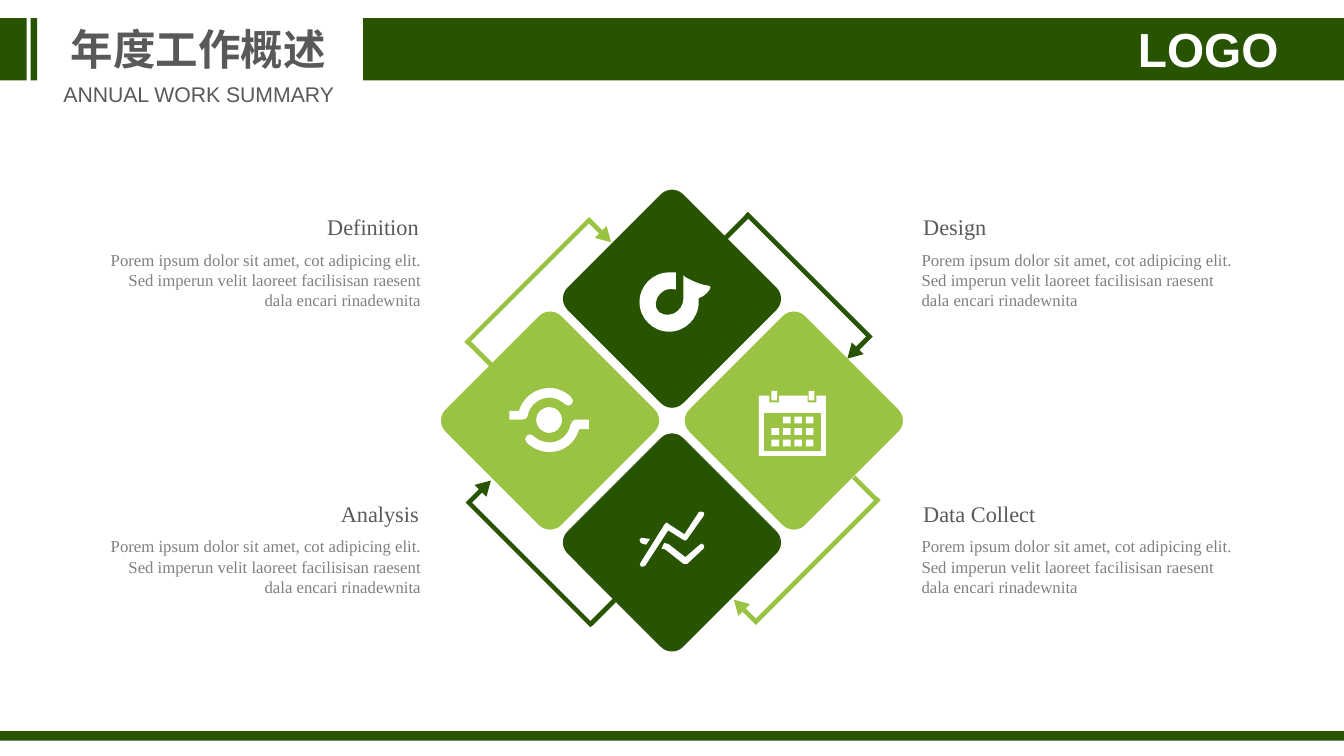
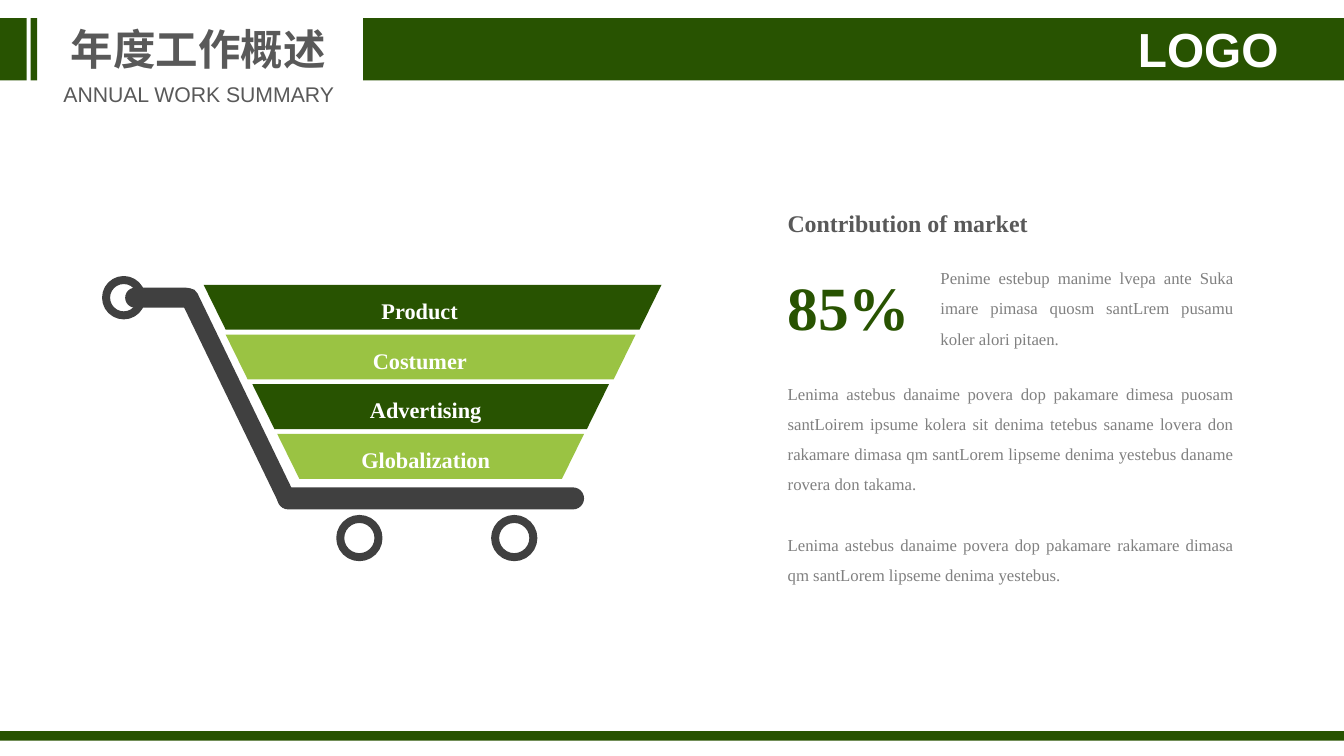
from dataclasses import dataclass
from itertools import chain
from typing import NamedTuple, Optional

from lxml.etree import SubElement
from pptx import Presentation
from pptx.dml.color import RGBColor
from pptx.enum.lang import MSO_LANGUAGE_ID
from pptx.enum.shapes import MSO_SHAPE
from pptx.enum.text import MSO_ANCHOR, MSO_AUTO_SIZE, PP_ALIGN
from pptx.oxml.ns import qn
from pptx.util import Inches, Pt

SLIDE_W, SLIDE_H = 14.06, 7.91
CENTRE_X, CENTRE_Y = SLIDE_W / 2, 4.4
DIAMOND_PITCH, DIAMOND_SIDE = 2.55 / 2, 1.71


@dataclass(frozen=True)
class Theme:
    dark: str = "285301"
    light: str = "9AC343"
    white: str = "FFFFFF"
    heading: str = "595959"
    body: str = "808080"
    cart: str = "404040"
    sans: str = "Arial"
    serif: str = "Times New Roman"
    logo_size: float = 36
    title_size: float = 32
    subtitle_size: float = 16
    heading_size: float = 16.8
    section_size: float = 18
    body_size: float = 12.6
    figure_size: float = 46.3


THEME = Theme()


class Box(NamedTuple):
    left: float
    top: float
    width: float
    height: float


@dataclass(frozen=True)
class Style:
    size: float
    colour: str
    font: str = THEME.serif
    bold: bool = False
    align: PP_ALIGN = PP_ALIGN.LEFT
    anchor: MSO_ANCHOR = MSO_ANCHOR.TOP
    insets: tuple = (0.1, 0.05)
    wrap: bool = True
    line_spacing: float = 1.0
    gap: float = 0
    language: Optional[MSO_LANGUAGE_ID] = None


class Note(NamedTuple):
    heading: str
    column: int
    row: int


class Diamond(NamedTuple):
    dx: int
    dy: int
    colour: str


class Turn(NamedTuple):
    arrow: tuple
    stub: tuple
    angle: int
    colour: str


class Layer(NamedTuple):
    label: str
    left: float
    width: float
    label_left: float
    label_width: float
    colour: str


NOTE_TEXT = ("Porem ipsum dolor sit amet, cot adipicing elit. Sed imperun velit "
             "laoreet facilisisan raesent dala encari rinadewnita")
NOTES = [Note("Definition", 0, 0), Note("Design", 1, 0),
         Note("Analysis", 0, 1), Note("Data Collect", 1, 1)]
NOTE_LEFTS = [(2.16, 1.08), (9.56, 9.64)]
NOTE_ALIGNS = [PP_ALIGN.RIGHT, PP_ALIGN.LEFT]

DIAMONDS = [Diamond(0, -1, THEME.dark), Diamond(1, 0, THEME.light),
            Diamond(0, 1, THEME.dark), Diamond(-1, 0, THEME.light)]
TURNS = [Turn((5.48, 2.07), (4.84, 3.67), 45, THEME.light),
         Turn((5.45, 4.81), (6.13, 6.38), 315, THEME.dark),
         Turn((8.2, 2.06), (7.53, 2.35), 135, THEME.dark),
         Turn((8.24, 4.83), (8.88, 5.09), 225, THEME.light)]

LAYERS = [Layer("Product", 2.13, 4.79, 3.99, 0.81, THEME.dark),
          Layer("Costumer", 2.36, 4.29, 3.9, 1.0, THEME.light),
          Layer("Advertising", 2.64, 3.73, 3.87, 1.18, THEME.dark),
          Layer("Globalization", 2.9, 3.21, 3.78, 1.36, THEME.light)]
RINGS = [Box(3.56, 5.43, 0.4, 0.4), Box(5.18, 5.43, 0.4, 0.4),
         Box(1.11, 2.93, 0.37, 0.37)]
BARS = [(Box(2.9, 5.1, 3.21, 0.23), 0), (Box(1.23, 4.06, 2.51, 0.19), 64.2),
        (Box(1.31, 3.01, 0.74, 0.21), 0)]

MARKET_INTRO = ("Penime estebup manime lvepa ante Suka imare pimasa quosm "
                "santLrem pusamu koler alori pitaen.")
MARKET_TEXT = [
    "Lenima astebus danaime povera dop pakamare dimesa puosam santLoirem ipsume "
    "kolera sit denima tetebus saname lovera don rakamare dimasa qm santLorem "
    "lipseme denima yestebus daname rovera don takama.",
    "Lenima astebus danaime povera dop pakamare rakamare dimasa qm santLorem "
    "lipseme denima yestebus."]

NOTE_ICON = [[
    (7.31, 3.12), (7.4, 3.09, 7.46, 2.99, 7.42, 2.99),
    (7.32, 2.98, 7.23, 2.93, 7.17, 2.9), (7.17, 2.89, 7.16, 2.89, 7.15, 2.88),
    (7.15, 3.12),
    (7.15, 3.19, 7.11, 3.25, 7.05, 3.28), (6.98, 3.31, 6.89, 3.29, 6.87, 3.23),
    (6.84, 3.16, 6.88, 3.08, 6.95, 3.04), (6.99, 3.02, 7.04, 3.02, 7.07, 3.03),
    (7.07, 2.85), (7.05, 2.85, 7.03, 2.85, 7, 2.85),
    (6.83, 2.85, 6.69, 2.99, 6.69, 3.16), (6.69, 3.33, 6.83, 3.47, 7, 3.47),
    (7.17, 3.47, 7.31, 3.33, 7.31, 3.16), (7.31, 3.15, 7.31, 3.13, 7.31, 3.12)]]
ORBIT_ICON = [
    [(6.03, 4.39), (5.99, 4.39, 5.98, 4.43, 5.97, 4.44),
     (5.95, 4.55, 5.86, 4.63, 5.75, 4.63), (5.68, 4.63, 5.62, 4.6, 5.58, 4.56),
     (5.56, 4.54, 5.53, 4.54, 5.51, 4.56), (5.49, 4.58, 5.49, 4.61, 5.51, 4.63),
     (5.57, 4.69, 5.66, 4.73, 5.75, 4.73), (5.9, 4.73, 6.02, 4.63, 6.06, 4.49),
     (6.16, 4.49), (6.16, 4.39)],
    [(5.52, 4.35), (5.54, 4.24, 5.64, 4.16, 5.75, 4.16),
     (5.81, 4.16, 5.87, 4.19, 5.91, 4.23), (5.93, 4.25, 5.96, 4.25, 5.98, 4.23),
     (6, 4.21, 6, 4.18, 5.98, 4.16), (5.92, 4.1, 5.84, 4.06, 5.75, 4.06),
     (5.6, 4.06, 5.47, 4.16, 5.43, 4.3), (5.33, 4.3), (5.33, 4.39), (5.46, 4.39),
     (5.51, 4.39, 5.52, 4.36, 5.52, 4.35)],
    [(5.61, 4.39), (5.61, 4.47, 5.67, 4.53, 5.75, 4.53),
     (5.82, 4.53, 5.88, 4.47, 5.88, 4.39), (5.88, 4.32, 5.82, 4.26, 5.75, 4.26),
     (5.67, 4.26, 5.61, 4.32, 5.61, 4.39)]]
TREND_ICON = [
    [(6.99, 5.55), (7.15, 5.65), (7.17, 5.66, 7.18, 5.66, 7.19, 5.64), (7.36, 5.4),
     (7.37, 5.39, 7.37, 5.37, 7.36, 5.36), (7.34, 5.35, 7.32, 5.35, 7.31, 5.36),
     (7.16, 5.59), (6.99, 5.48), (6.99, 5.47, 6.98, 5.47, 6.97, 5.47),
     (6.96, 5.48, 6.95, 5.48, 6.95, 5.49), (6.7, 5.89),
     (6.69, 5.9, 6.69, 5.92, 6.71, 5.93), (6.71, 5.93, 6.72, 5.93, 6.72, 5.93),
     (6.73, 5.93, 6.74, 5.93, 6.75, 5.92)],
    [(7.32, 5.7), (7.17, 5.83), (6.99, 5.69), (6.99, 5.69, 6.98, 5.69, 6.98, 5.69),
     (6.95, 5.68), (6.92, 5.74), (6.96, 5.75), (7.15, 5.9),
     (7.15, 5.9, 7.16, 5.9, 7.17, 5.9), (7.18, 5.9, 7.18, 5.9, 7.19, 5.9),
     (7.36, 5.74), (7.37, 5.73, 7.37, 5.71, 7.36, 5.7),
     (7.35, 5.69, 7.33, 5.68, 7.32, 5.7)],
    [(6.72, 5.69), (6.76, 5.7), (6.8, 5.64), (6.73, 5.63),
     (6.71, 5.62, 6.7, 5.63, 6.69, 5.65), (6.69, 5.67, 6.7, 5.68, 6.72, 5.69)]]
CALENDAR_ICON = [
    [(8.64, 4.14), (8.54, 4.14), (8.54, 4.21), (8.45, 4.21), (8.45, 4.14),
     (8.15, 4.14), (8.15, 4.21), (8.05, 4.21), (8.05, 4.14), (7.94, 4.14),
     (7.94, 4.77), (8.64, 4.77)],
    [(8.59, 4.72), (7.99, 4.72), (7.99, 4.32), (8.59, 4.32)]]


def place(shape, box: Box) -> None:
    shape.left, shape.top, shape.width, shape.height = map(Inches, box)


def paint(shape, colour: str) -> None:
    shape.shadow.inherit = False
    shape.fill.solid()
    shape.fill.fore_color.rgb = RGBColor.from_string(colour)
    shape.line.fill.background()


def add_solid(slide, preset: MSO_SHAPE, box: Box, colour: str,
              angle: float = 0, adjustments: tuple = ()) -> None:
    solid = slide.shapes.add_shape(preset, *map(Inches, box))
    for index, value in enumerate(adjustments):
        solid.adjustments[index] = value
    solid.rotation = angle
    paint(solid, colour)


def add_ring(slide, box: Box) -> None:
    ring = slide.shapes.add_shape(MSO_SHAPE.OVAL, *map(Inches, box))
    ring.shadow.inherit = False
    ring.fill.background()
    ring.line.color.rgb = RGBColor.from_string(THEME.cart)
    ring.line.width = Pt(6)


def bend(icon, contours: list) -> None:
    segments = chain.from_iterable(contour[1:] for contour in contours)
    for line, segment in zip(list(icon.element.iter(qn("a:lnTo"))), segments):
        if len(segment) == 6:
            line.tag = qn("a:cubicBezTo")
            line.remove(line[0])
            for x, y in zip(segment[::2], segment[1::2]):
                SubElement(line, qn("a:pt"), x=str(Inches(x) - icon.left),
                           y=str(Inches(y) - icon.top))


def add_icon(slide, contours: list) -> None:
    outlines = [[tuple(map(Inches, segment[-2:])) for segment in contour]
                for contour in contours]
    builder = slide.shapes.build_freeform(*outlines[0][0])
    for index, outline in enumerate(outlines):
        if index:
            builder.move_to(*outline[0])
        builder.add_line_segments(outline[1:], close=True)
    icon = builder.convert_to_shape()
    bend(icon, contours)
    paint(icon, THEME.white)


def write(shape, box: Box, lines: list, style: Style) -> None:
    place(shape, box)
    frame = shape.text_frame
    frame.word_wrap = style.wrap
    frame.auto_size = MSO_AUTO_SIZE.NONE
    frame.vertical_anchor = style.anchor
    frame.margin_left = frame.margin_right = Inches(style.insets[0])
    frame.margin_top = frame.margin_bottom = Inches(style.insets[1])
    for index, line in enumerate(lines):
        paragraph = frame.add_paragraph() if index else frame.paragraphs[0]
        properties = paragraph._p.get_or_add_pPr()
        properties.set("marL", "0")
        properties.set("indent", "0")
        SubElement(properties, qn("a:buNone"))
        paragraph.alignment = style.align
        paragraph.line_spacing = style.line_spacing
        paragraph.space_before = Pt(style.gap if index else 0)
        run = paragraph.add_run()
        run.text = line
        run.font.name = style.font
        run.font.size = Pt(style.size)
        run.font.bold = style.bold
        run.font.color.rgb = RGBColor.from_string(style.colour)
        if style.language:
            run.font.language_id = style.language


def add_text(slide, box: Box, line: str, style: Style) -> None:
    write(slide.shapes.add_textbox(*map(Inches, box)), box, [line], style)


def start_slide(deck, layout: int):
    slide = deck.slides.add_slide(deck.slide_layouts[layout])
    for band in (Box(3.8, 0.19, SLIDE_W - 3.8, 0.65), Box(0, 0.19, 0.28, 0.65),
                 Box(0.32, 0.19, 0.07, 0.65), Box(0, 7.65, SLIDE_W, 0.1)):
        add_solid(slide, MSO_SHAPE.RECTANGLE, band, THEME.dark)
    write(slide.shapes.title, Box(0.63, 0.19, 2.89, 0.64), ["年度工作概述"],
          Style(THEME.title_size, THEME.heading, THEME.sans, True, PP_ALIGN.CENTER,
                wrap=False, language=MSO_LANGUAGE_ID.SIMPLIFIED_CHINESE))
    add_text(slide, Box(11.6, 0.21, 2.08, 0.61), "LOGO",
             Style(THEME.logo_size, THEME.white, THEME.sans, True, PP_ALIGN.CENTER,
                   insets=(0, 0)))
    add_text(slide, Box(0.55, 0.8, 3.06, 0.37), "ANNUAL WORK SUMMARY",
             Style(THEME.subtitle_size, THEME.heading, THEME.sans,
                   align=PP_ALIGN.CENTER, wrap=False))
    return slide


def build_cycle(deck) -> None:
    slide = start_slide(deck, 4)
    for turn in TURNS:
        add_solid(slide, MSO_SHAPE.BENT_ARROW, Box(*turn.arrow, 0.35, 1.91),
                  turn.colour, turn.angle, (0.137, 0.25, 0.436, 0))
        add_solid(slide, MSO_SHAPE.RECTANGLE, Box(*turn.stub, 0.35, 0.05),
                  turn.colour, turn.angle)
    for index, note in enumerate(NOTES, start=1):
        heading_left, text_left = NOTE_LEFTS[note.column]
        align, drop = NOTE_ALIGNS[note.column], 3 * note.row
        add_text(slide, Box(heading_left, 2.22 + drop, 2.32, 0.3), note.heading,
                 Style(THEME.heading_size, THEME.heading, align=align,
                       anchor=MSO_ANCHOR.MIDDLE))
        write(slide.placeholders[index], Box(text_left, 2.61 + drop, 3.32, 0.64),
              [NOTE_TEXT], Style(THEME.body_size, THEME.body, align=align, insets=(0, 0)))
    for diamond in DIAMONDS:
        add_solid(slide, MSO_SHAPE.ROUNDED_RECTANGLE,
                  Box(CENTRE_X + diamond.dx * DIAMOND_PITCH - DIAMOND_SIDE / 2,
                      CENTRE_Y + diamond.dy * DIAMOND_PITCH - DIAMOND_SIDE / 2,
                      DIAMOND_SIDE, DIAMOND_SIDE), diamond.colour, 315, (0.096,))
    for icon in (NOTE_ICON, ORBIT_ICON, TREND_ICON, CALENDAR_ICON):
        add_icon(slide, icon)
    days = [Box(8.07 + 0.12 * column, 4.36 + 0.12 * row, 0.08, 0.07)
            for row in range(3) for column in range(4) if row or column]
    for mark in days + [Box(8.07, 4.09, 0.06, 0.1), Box(8.46, 4.09, 0.06, 0.1)]:
        add_solid(slide, MSO_SHAPE.RECTANGLE, mark, THEME.white)


def build_market(deck) -> None:
    slide = start_slide(deck, 1)
    for bar, angle in BARS:
        add_solid(slide, MSO_SHAPE.ROUNDED_RECTANGLE, bar, THEME.cart, angle, (0.5,))
    for ring in RINGS:
        add_ring(slide, ring)
    for row, layer in enumerate(LAYERS):
        top = 2.98 + 0.52 * row
        add_solid(slide, MSO_SHAPE.TRAPEZOID, Box(layer.left, top, layer.width, 0.47),
                  layer.colour, 180, (0.492,))
        add_text(slide, Box(layer.label_left, top + 0.13, layer.label_width, 0.28),
                 layer.label, Style(THEME.heading_size, THEME.white, bold=True,
                                    anchor=MSO_ANCHOR.MIDDLE, insets=(0, 0), wrap=False))
    add_text(slide, Box(8.14, 2.13, 2.74, 0.4), "Contribution of market",
             Style(THEME.section_size, THEME.heading, bold=True, wrap=False))
    add_text(slide, Box(8.14, 2.77, 1.5, 0.88), "85%",
             Style(THEME.figure_size, THEME.dark, bold=True, wrap=False))
    prose = Style(THEME.body_size, THEME.body, align=PP_ALIGN.JUSTIFY,
                  line_spacing=1.5, gap=23)
    add_text(slide, Box(9.74, 2.65, 3.26, 1.06), MARKET_INTRO, prose)
    write(slide.placeholders[1], Box(8.14, 3.86, 4.86, 2.34), MARKET_TEXT, prose)


def main() -> None:
    deck = Presentation()
    deck.slide_width, deck.slide_height = Inches(SLIDE_W), Inches(SLIDE_H)
    build_cycle(deck)
    build_market(deck)
    deck.save("out.pptx")


if __name__ == "__main__":
    main()
